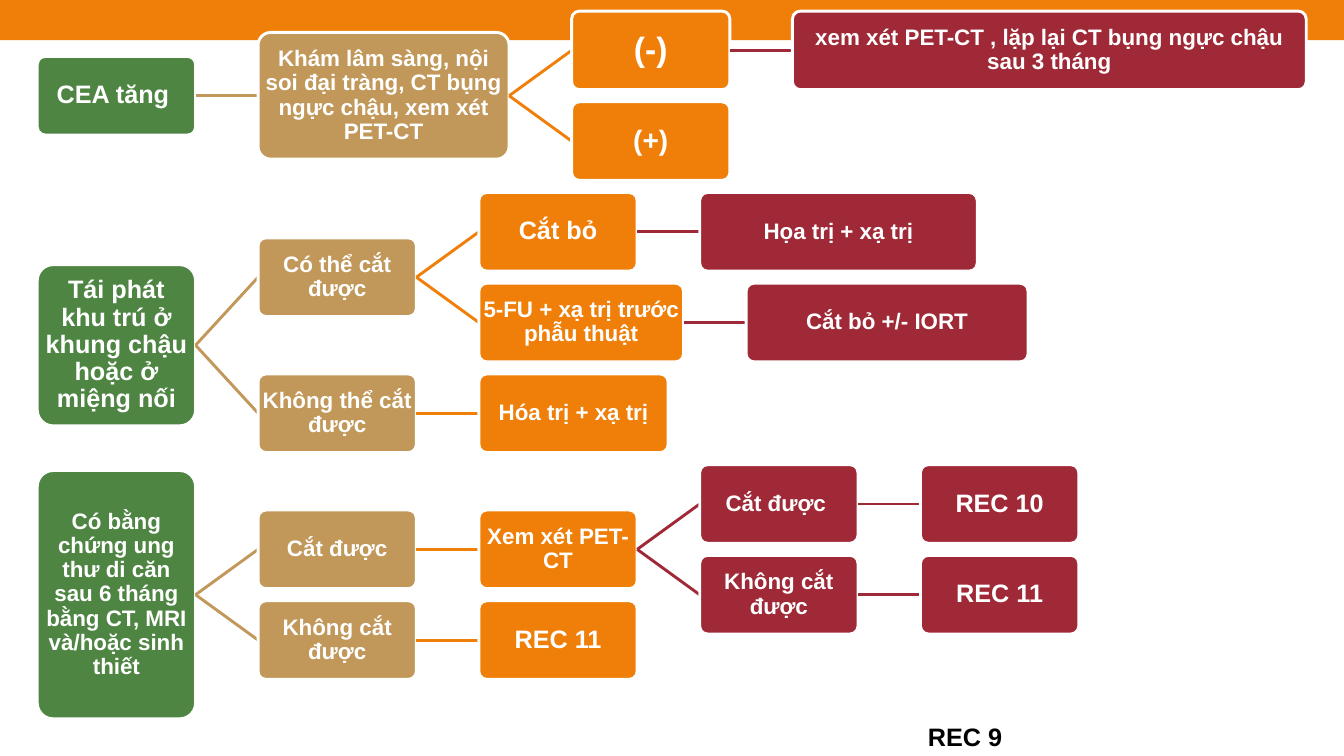
import dataclasses

import pptx
import pptx.dml.color
import pptx.enum.shapes
import pptx.enum.text
import pptx.oxml.ns
import pptx.util
from lxml import etree

GREEN, TAN, ORANGE, RED = "4E8542", "C19859", "F07F09", "9F2936"
WHITE, BLACK = "FFFFFF", "000000"
LEVEL_COLORS = [GREEN, TAN, ORANGE, RED, RED]

# Grid in inches: a box spans columns and rows, less one gap
LEFT, FIRST_ROW = 0.37, 0.5
COLUMN, COLUMN_GAP = 2.19, 0.62
ROW, ROW_GAP = 0.9, 0.12


def color(hex_value):
    return pptx.dml.color.RGBColor.from_string(hex_value)


@dataclasses.dataclass
class Step:
    """A box of the pathway; one with following steps is centred on them."""
    text: str
    size: int
    next_steps: list = dataclasses.field(default_factory=list)
    row: float = 0
    columns: float = 1
    rows: float = 1

    def center_row(self):
        if not self.next_steps:
            return self.row
        return (self.next_steps[0].center_row() + self.next_steps[-1].center_row()) / 2


class PathwaySlide:
    font = "Arial"
    line_width = pptx.util.Pt(2.08)

    def __init__(self, presentation):
        self.width = presentation.slide_width
        self.height = presentation.slide_height
        self.shapes = presentation.slides.add_slide(presentation.slide_layouts[6]).shapes

    def style_text(self, paragraph, text, size, text_color):
        paragraph.text = text
        paragraph.font.name = self.font
        paragraph.font.size = pptx.util.Pt(size)
        paragraph.font.bold = True
        paragraph.font.color.rgb = color(text_color)

    def band(self, height_share, fill):
        band = self.shapes.add_shape(
            pptx.enum.shapes.MSO_SHAPE.RECTANGLE, 0, 0,
            self.width, int(self.height * height_share))
        band.shadow.inherit = False
        band.fill.solid()
        band.fill.fore_color.rgb = color(fill)
        band.line.fill.background()

    def label(self, text, size, left, top, width, height):
        label = self.shapes.add_textbox(
            int(self.width * left), int(self.height * top),
            int(self.width * width), int(self.height * height))
        label.text_frame.word_wrap = True
        self.style_text(label.text_frame.paragraphs[0], text, size, BLACK)

    def box(self, step, column, fill):
        height = step.rows * ROW - ROW_GAP
        box = self.shapes.add_shape(
            pptx.enum.shapes.MSO_SHAPE.ROUNDED_RECTANGLE,
            pptx.util.Inches(LEFT + column * COLUMN),
            pptx.util.Inches(FIRST_ROW + step.center_row() * ROW - height / 2),
            pptx.util.Inches(step.columns * COLUMN - COLUMN_GAP),
            pptx.util.Inches(height))
        box.adjustments[0] = 0.1
        box.shadow.inherit = False
        box.fill.solid()
        box.fill.fore_color.rgb = color(fill)
        box.line.color.rgb = color(WHITE)
        box.line.width = self.line_width

        frame = box.text_frame
        frame.word_wrap = True
        frame.vertical_anchor = pptx.enum.text.MSO_ANCHOR.MIDDLE
        frame.margin_left = frame.margin_right = pptx.util.Inches(0.01)
        frame.margin_top = frame.margin_bottom = pptx.util.Inches(0.01)
        paragraph = frame.paragraphs[0]
        paragraph.alignment = pptx.enum.text.PP_ALIGN.CENTER
        paragraph.line_spacing = 0.9
        self.style_text(paragraph, step.text, step.size, WHITE)

    def link(self, column, from_row, to_row, line_color):
        """Line across the gap that ends at the given column."""
        end = LEFT + column * COLUMN
        link = self.shapes.add_connector(
            pptx.enum.shapes.MSO_CONNECTOR.STRAIGHT,
            pptx.util.Inches(end - COLUMN_GAP), pptx.util.Inches(FIRST_ROW + from_row * ROW),
            pptx.util.Inches(end), pptx.util.Inches(FIRST_ROW + to_row * ROW))
        link.line.color.rgb = color(line_color)
        link.line.width = self.line_width
        etree.SubElement(link._element.spPr, pptx.oxml.ns.qn("a:effectLst"))

    def pathway(self, step, column=0, level=0):
        self.box(step, column, LEVEL_COLORS[level])
        next_column = column + step.columns
        for following in step.next_steps:
            self.link(next_column, step.center_row(), following.center_row(),
                      LEVEL_COLORS[level + 1])
            self.pathway(following, next_column, level + 1)


# Raised CEA
raised_cea = Step("CEA tăng ", 18, [
    Step("Khám lâm sàng, nội soi đại tràng, CT bụng ngực chậu, xem xét PET-CT", 16, [
        Step("(-)", 24, [
            Step("xem xét PET-CT , lặp lại CT bụng ngực chậu sau 3 tháng", 16,
                 row=0, columns=2.61),
        ]),
        Step("(+)", 20, row=1),
    ], columns=1.42, rows=1.53),
])

# Local recurrence
local_recurrence = Step("Tái phát khu trú ở khung chậu hoặc ở miệng nối", 18, [
    Step("Có thể cắt được", 16, [
        Step("Cắt bỏ", 18, [Step("Họa trị + xạ trị", 16, row=2, columns=1.54)]),
        Step("5-FU + xạ trị trước phẫu thuật", 16, [
            Step("Cắt bỏ +/- IORT", 16, row=3, columns=1.56),
        ], columns=1.21),
    ]),
    Step("Không thể cắt được", 16, [
        Step("Hóa trị + xạ trị", 16, row=4, columns=1.14),
    ]),
], rows=1.91)

# Metastasis
metastasis = Step("Có bằng chứng ung thư di căn sau 6 tháng bằng CT, MRI và/hoặc sinh thiết", 16, [
    Step("Cắt được", 16, [
        Step("Xem xét PET-CT", 16, [
            Step("Cắt được ", 16, [Step("REC 10", 18, row=5)]),
            Step("Không cắt được", 16, [Step("REC 11", 18, row=6)]),
        ]),
    ]),
    Step("Không cắt được", 16, [Step("REC 11", 18, row=6.5)]),
], rows=2.87)


def main():
    presentation = pptx.Presentation()
    presentation.slide_width = pptx.util.Inches(13.33)
    presentation.slide_height = pptx.util.Inches(7.5)
    slide = PathwaySlide(presentation)
    slide.band(0.053, ORANGE)
    for first_step in (raised_cea, local_recurrence, metastasis):
        slide.pathway(first_step)
    slide.label("REC 9", 18, left=0.683, top=0.947, width=0.156, height=0.053)
    presentation.save("out.pptx")


if __name__ == "__main__":
    main()
